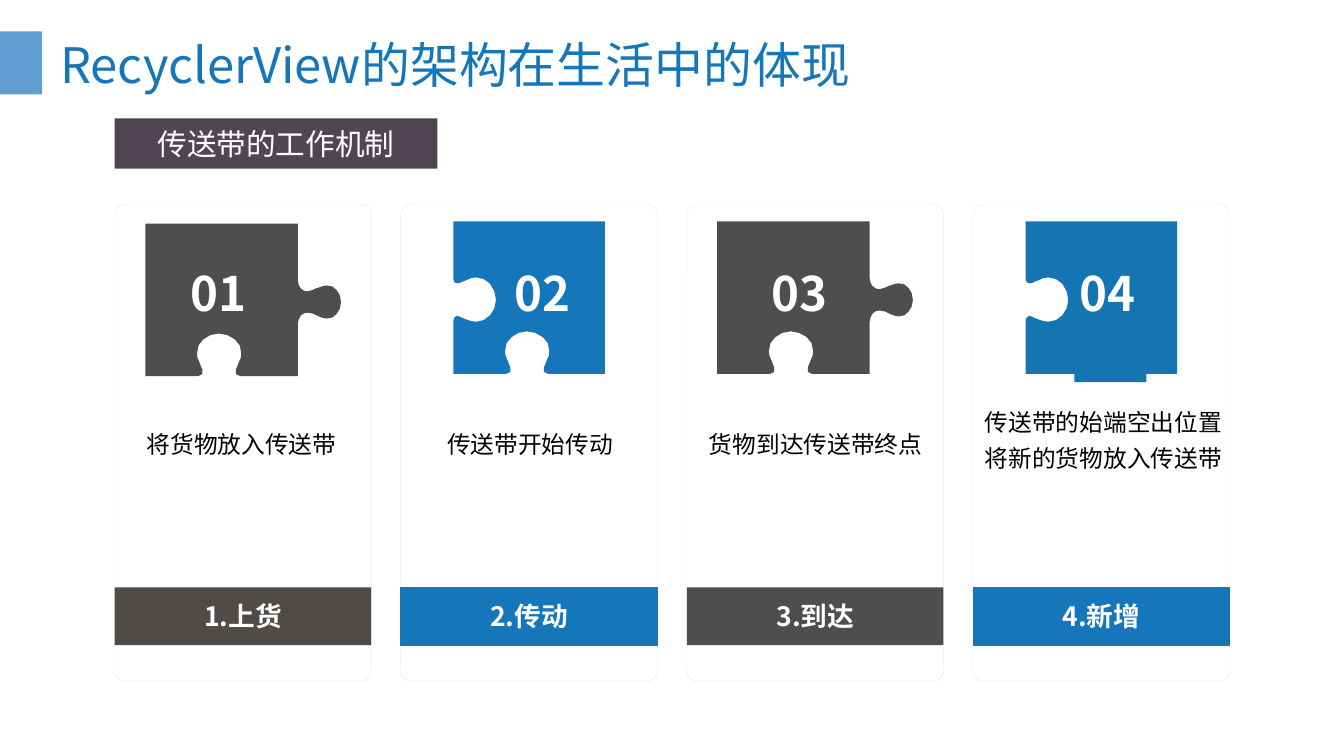
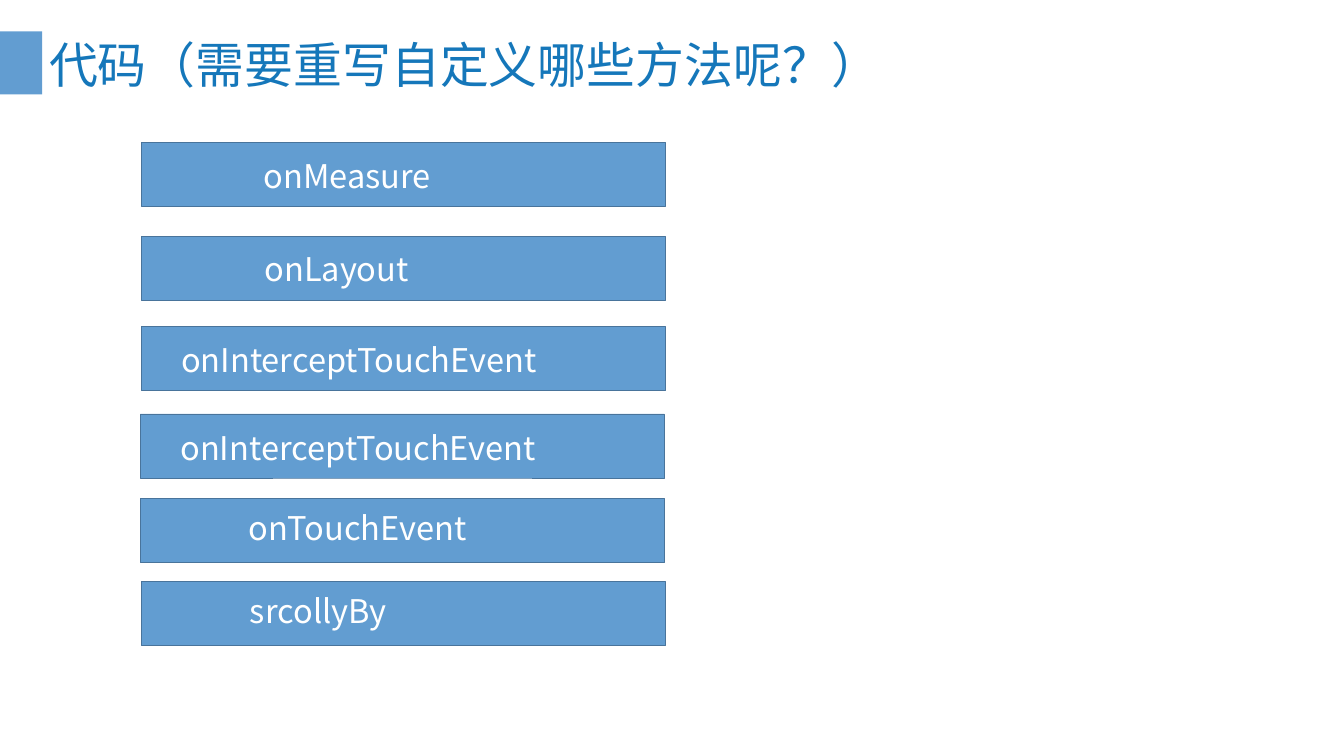
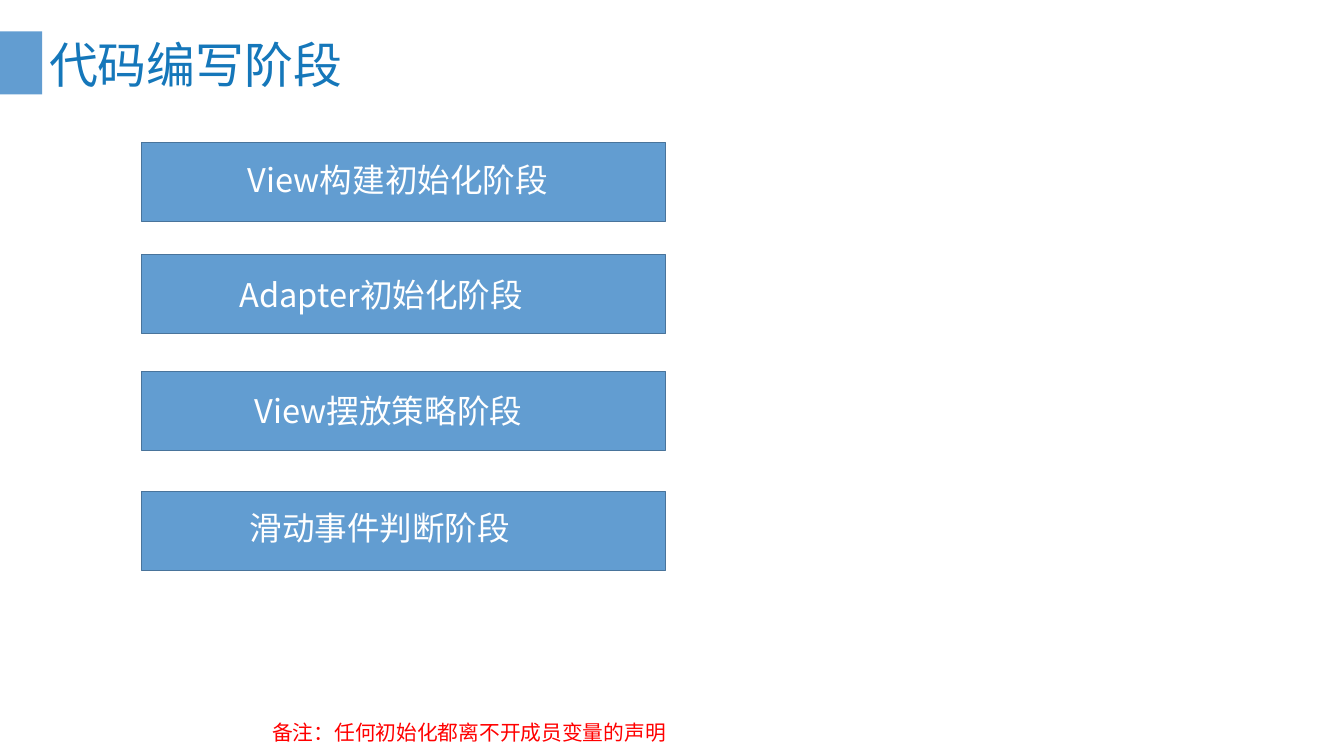
from dataclasses import dataclass
from typing import Any

from lxml.etree import SubElement
from pptx import Presentation
from pptx.dml.color import RGBColor
from pptx.enum.shapes import MSO_SHAPE
from pptx.enum.text import MSO_ANCHOR, PP_ALIGN
from pptx.oxml.ns import qn
from pptx.util import Inches, Pt

FONT = "Noto Sans CJK SC"
WIDTH, HEIGHT = Inches(25.2), Inches(14.17)
PIECE_UNIT = WIDTH / 2520

WHITE = RGBColor(0xFF, 0xFF, 0xFF)
BLACK = RGBColor(0x00, 0x00, 0x00)
RED = RGBColor(0xFF, 0x00, 0x00)
BLUE = RGBColor(0x15, 0x77, 0xBA)
DEEP_BLUE = RGBColor(0x14, 0x75, 0xB2)
LIGHT_BLUE = RGBColor(0x62, 0x9D, 0xD1)
BAR_EDGE = RGBColor(0x49, 0x74, 0x9B)
GRAY = RGBColor(0x4E, 0x4E, 0x4E)
WARM_GRAY = RGBColor(0x4E, 0x4B, 0x49)
PALE_GRAY = RGBColor(0xD9, 0xD9, 0xD9)
PLUM = RGBColor(0x50, 0x46, 0x52)

TITLE = {"size": Pt(66), "color": BLUE}
HEADING = {"size": Pt(40), "color": WHITE}
BAR_TEXT = {"size": Pt(44), "color": WHITE}
BAND_TEXT = {"size": Pt(36), "bold": True, "color": WHITE}
NUMBER = {"size": Pt(64), "bold": True, "color": WHITE}
CAPTION = {"size": Pt(32), "color": BLACK}
NOTE = {"size": Pt(28), "color": RED}

# Outline steps: two numbers end a line, six give a Bézier curve.
Outline = list[tuple[int, ...]]
BOTTOM_NOTCH: Outline = [
    (178, 286), (170, 282), (170, 273),
    (171, 271, 180, 253, 180, 243), (180, 222, 161, 206, 138, 206),
    (115, 206, 97, 222, 97, 243), (97, 253, 106, 271, 107, 273),
    (107, 282), (99, 286), (0, 286),
]
TAB_PIECE: Outline = [
    (286, 0), (286, 107), (288, 120, 295, 127, 305, 127),
    (315, 124), (321, 121, 334, 116, 340, 116),
    (355, 116, 367, 130, 367, 147), (367, 164, 355, 178, 340, 178),
    (334, 178, 321, 173, 315, 169), (305, 167),
    (294, 167, 287, 175, 286, 187), (286, 286), *BOTTOM_NOTCH,
]
SOCKET_PIECE: Outline = [
    (284, 0), (284, 286), *BOTTOM_NOTCH, (0, 187),
    (2, 180), (7, 177), (13, 179),
    (15, 180, 32, 188, 43, 188), (63, 188, 80, 170, 80, 147),
    (80, 124, 63, 105, 43, 105), (32, 105, 15, 114, 13, 115),
    (7, 116), (2, 114), (0, 107),
]


@dataclass(frozen=True)
class Area:
    """A place on a grid of 100 columns by 100 rows."""
    left: float
    top: float
    width: float
    height: float

    def place(self) -> tuple[int, int, int, int]:
        return (across(self.left), down(self.top),
                across(self.width), down(self.height))


@dataclass(frozen=True)
class Card:
    """One step; horizontal places count from the card's left side."""
    number: str
    label: str
    caption: tuple[str, ...]
    band_color: RGBColor
    piece_color: RGBColor
    outline: Any
    piece_left: float
    number_left: float
    caption_shift: float = 0
    piece_top: float = 29.29
    band_edge: RGBColor | None = None
    number_fill: RGBColor | None = None
    caption_top: float = 54.6
    caption_align: PP_ALIGN = PP_ALIGN.CENTER
    line_spacing: float = 1.5


@dataclass(frozen=True)
class Bar:
    """A bar; indent is in columns, lift raises its text in rows."""
    text: str
    top: float
    indent: float
    lift: float = 0
    left: float = 10.52


CARDS = [
    Card("01", "1.上货", ("将货物放入传送带",), WARM_GRAY, GRAY, TAB_PIECE,
         2.28, 5.28, -0.1, piece_top=29.58),
    Card("02", "2.传动", ("传送带开始传动",), BLUE, BLUE, SOCKET_PIECE,
         3.91, 8.06, 0.08, band_edge=BLUE),
    Card("03", "3.到达", ("货物到达传送带终点",), GRAY, GRAY, TAB_PIECE,
         2.25, 5.87, 0.04),
    Card("04", "4.新增", ("传送带的始端空出位置", "将新的货物放入传送带"),
         BLUE, DEEP_BLUE, SOCKET_PIECE, 3.91, 7.54, 0.48, band_edge=BLUE,
         number_fill=DEEP_BLUE, caption_top=52.65,
         caption_align=PP_ALIGN.JUSTIFY, line_spacing=1.25),
]
METHOD_BARS = [
    Bar("onMeasure", 18.84, 9.08, -0.14),
    Bar("onLayout", 31.26, 9.15),
    Bar("onInterceptTouchEvent", 43.19, 2.95, -0.14),
    Bar("onInterceptTouchEvent", 54.76, 2.98, -0.2, left=10.44),
    Bar("onTouchEvent", 65.98, 8.08, 0.42, left=10.44),
    Bar("srcollyBy", 76.92, 8.08, 0.35),
]
STAGE_BARS = [
    Bar("View构建初始化阶段", 18.84, 7.92, 0.35),
    Bar("Adapter初始化阶段", 33.7, 7.3),
    Bar("View摆放策略阶段", 49.08, 8.42),
    Bar("滑动事件判断阶段", 65, 8.04, 0.42),
]


def across(columns: float) -> int:
    return round(WIDTH * columns / 100)


def down(rows: float) -> int:
    return round(HEIGHT * rows / 100)


def paint(shape: Any, fill: RGBColor, edge: RGBColor | None = None,
          edge_width: float = 1) -> None:
    shape.shadow.inherit = False
    shape.fill.solid()
    shape.fill.fore_color.rgb = fill
    if edge is None:
        shape.line.fill.background()
    else:
        shape.line.color.rgb = edge
        shape.line.width = Pt(edge_width)


def add_box(page: Any, area: Area, fill: RGBColor | None = None,
            edge: RGBColor | None = None) -> Any:
    """Add a rectangle, or a plain text box when there is no fill."""
    if fill is None:
        return page.shapes.add_textbox(*area.place())
    box = page.shapes.add_shape(MSO_SHAPE.RECTANGLE, *area.place())
    paint(box, fill, edge)
    return box


def write(box: Any, lines: tuple[str, ...], style: dict[str, Any],
          align: PP_ALIGN = PP_ALIGN.LEFT, spacing: float | None = None,
          **frame_values: Any) -> None:
    frame = box.text_frame
    frame_format = {"word_wrap": True, "vertical_anchor": MSO_ANCHOR.TOP}
    for name, value in (frame_format | frame_values).items():
        setattr(frame, name, value)
    for index, line in enumerate(lines):
        para = frame.add_paragraph() if index else frame.paragraphs[0]
        for name, value in {"alignment": align, "line_spacing": spacing}.items():
            setattr(para, name, value)
        span = para.add_run()
        span.text = line
        for name, value in ({"name": FONT} | style).items():
            if name == "color":
                span.font.color.rgb = value
            else:
                setattr(span.font, name, value)
        SubElement(span._r.get_or_add_rPr(), qn("a:ea")).set("typeface", FONT)


def add_page(deck: Any, title: str, indent: float = 0.52) -> Any:
    """Add a blank page with the shared marker and title."""
    page = deck.slides.add_slide(deck.slide_layouts[6])
    add_box(page, Area(0, 4.16, 3.13, 8.33), LIGHT_BLUE)
    write(add_box(page, Area(3.13, 4.2, 93.73, 8.47)), (title,), TITLE,
          vertical_anchor=MSO_ANCHOR.MIDDLE, margin_left=across(indent))
    return page


def flatten(outline: Outline) -> list[tuple[float, float]]:
    """Turn lines and curves starting at the origin into points."""
    curve_steps = 4
    points: list[tuple[float, float]] = [(0, 0)]
    for step in outline:
        if len(step) == 2:
            points.append((step[0], step[1]))
            continue
        controls = [points[-1], step[0:2], step[2:4], step[4:6]]
        for index in range(1, curve_steps + 1):
            t = index / curve_steps
            weights = ((1 - t) ** 3, 3 * t * (1 - t) ** 2,
                       3 * t ** 2 * (1 - t), t ** 3)
            x, y = (sum(weight * control[axis]
                        for weight, control in zip(weights, controls))
                    for axis in (0, 1))
            points.append((x, y))
    return points


def add_piece(page: Any, left: float, card: Card) -> None:
    start, *points = flatten(card.outline)
    builder = page.shapes.build_freeform(*start, scale=PIECE_UNIT)
    builder.add_line_segments(points, close=True)
    piece = builder.convert_to_shape(across(left), down(card.piece_top))
    paint(piece, card.piece_color)


def add_card(page: Any, left: float, card: Card) -> None:
    width = 19.09
    panel = page.shapes.add_shape(MSO_SHAPE.ROUNDED_RECTANGLE,
                                  *Area(left, 27, width, 63.09).place())
    panel.adjustments[0] = 0.04
    paint(panel, WHITE, PALE_GRAY, 0.25)
    band = add_box(page, Area(left, 77.7, width, 7.62),
                   card.band_color, card.band_edge)
    write(band, (card.label,), BAND_TEXT, PP_ALIGN.CENTER,
          vertical_anchor=MSO_ANCHOR.MIDDLE)
    caption = add_box(page, Area(left + card.caption_shift, card.caption_top,
                                 width, 6.42))
    write(caption, card.caption, CAPTION, card.caption_align, card.line_spacing)
    add_piece(page, left + card.piece_left, card)
    number = add_box(page, Area(left + card.number_left, 34.6, 5.36, 15.95),
                     card.number_fill)
    write(number, (card.number,), NUMBER)


def add_bars(page: Any, bars: list[Bar], height: float) -> None:
    for bar in bars:
        box = add_box(page, Area(bar.left, bar.top, 39, height),
                      LIGHT_BLUE, BAR_EDGE)
        write(box, (bar.text,), BAR_TEXT, vertical_anchor=MSO_ANCHOR.MIDDLE,
              margin_left=across(bar.indent), margin_top=down(0.5),
              margin_bottom=down(0.5 + 2 * bar.lift))


def main() -> None:
    deck = Presentation()
    deck.slide_width, deck.slide_height = WIDTH, HEIGHT

    page = add_page(deck, "RecyclerView的架构在生活中的体现", 1.35)
    for index, card in enumerate(CARDS):
        add_card(page, 8.53 + 21.29 * index, card)
    heading = add_box(page, Area(8.53, 15.67, 24.01, 6.63), PLUM)
    write(heading, ("传送带的工作机制",), HEADING, PP_ALIGN.CENTER,
          vertical_anchor=MSO_ANCHOR.MIDDLE)

    page = add_page(deck, "代码（需要重写自定义哪些方法呢？）")
    add_bars(page, METHOD_BARS, 8.47)

    page = add_page(deck, "代码编写阶段")
    add_bars(page, STAGE_BARS, 10.44)
    write(add_box(page, Area(19.87, 93.23, 75.24, 5.72)),
          ("备注：任何初始化都离不开成员变量的声明",), NOTE,
          PP_ALIGN.JUSTIFY, 1.5)

    deck.save("out.pptx")


if __name__ == "__main__":
    main()
